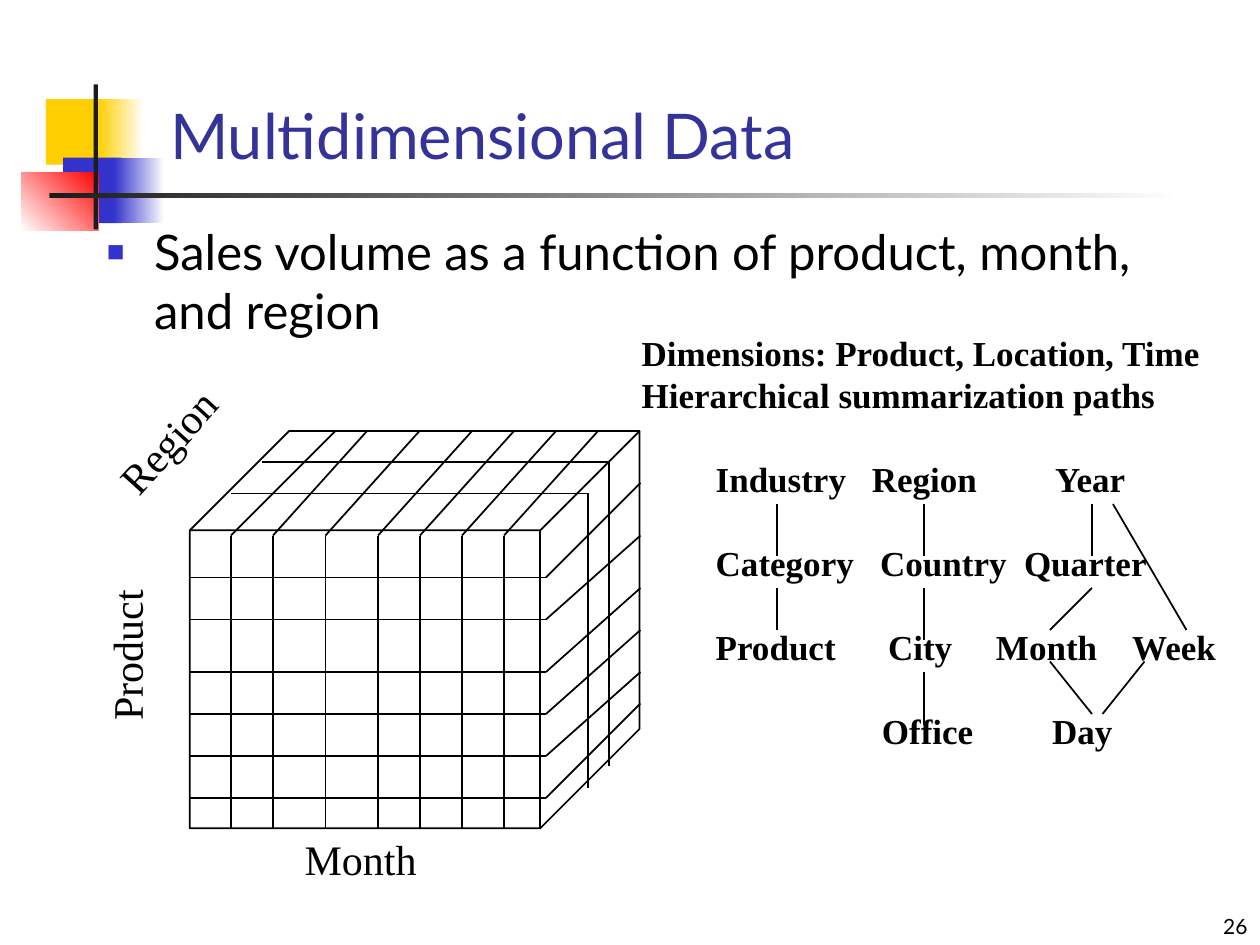
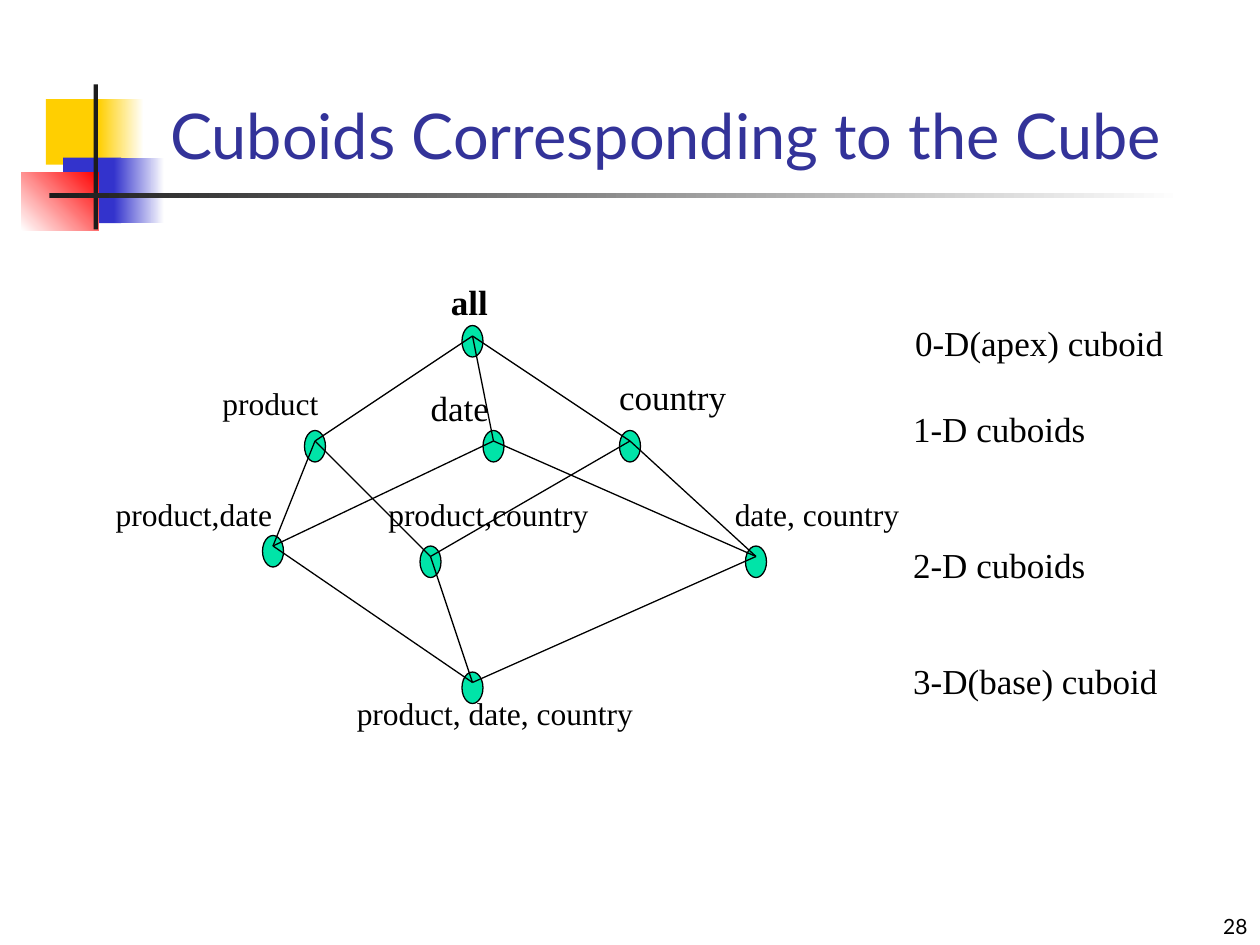
"""Build two slides on multidimensional data and its cuboids."""
import dataclasses
import itertools
import typing

import lxml.etree
import pptx
import pptx.dml.color
import pptx.enum.shapes
import pptx.enum.text
import pptx.oxml.ns
import pptx.util

Pt = pptx.util.Pt
Shapes = pptx.enum.shapes.MSO_SHAPE
Align = pptx.enum.text.PP_ALIGN
Anchor = pptx.enum.text.MSO_ANCHOR
AutoSize = pptx.enum.text.MSO_AUTO_SIZE

SANS, SERIF = "Lato", "Times New Roman"
BLACK, WHITE, CHARCOAL = "000000", "FFFFFF", "1C1C1C"
YELLOW, BLUE, RED = "FFCF01", "3333CC", "FF0000"
TITLE_BLUE, NODE_GREEN = "333399", "00E4A8"


@dataclasses.dataclass(frozen=True)
class Band:
    """A rectangle of the title ornament, plain or fading to a second colour."""
    left: float
    top: float
    width: float
    height: float
    start: str
    end: typing.Optional[str] = None
    angle: float = 0


@dataclasses.dataclass(frozen=True)
class Label:
    """A text box with one style; each line is a paragraph."""
    lines: tuple[str, ...]
    left: float
    top: float
    width: float
    height: float
    size: float = 20
    bold: bool = False
    font: str = SERIF
    rotation: float = 0
    wrap: bool = False
    align: Align = Align.LEFT
    anchor: Anchor = Anchor.TOP
    grow: bool = True


@dataclasses.dataclass(frozen=True)
class Level:
    """One row of the hierarchy with the tab stops of its later words."""
    words: tuple[str, ...]
    stops: tuple[float, ...]


@dataclasses.dataclass(frozen=True)
class Cuboid:
    """A lattice node, its dimensions and its label."""
    dimensions: frozenset[str]
    left: float
    top: float
    label: Label


BANDS = (
    Band(26.2, 56.6, 34.5, 37.5, YELLOW),
    Band(56.2, 56.6, 26, 37.5, YELLOW, WHITE),
    Band(36, 90, 33.2, 37.5, BLUE),
    Band(65, 90, 29, 37.5, BLUE, WHITE),
    Band(12.2, 98.5, 44.2, 33.2, WHITE, RED, 45),
    Band(53.5, 48.2, 2.4, 83, CHARCOAL),
    Band(28.3, 110.2, 648, 2.8, CHARCOAL, WHITE),
)

CUBE_ROWS = ((330, 276), (354, 306), (384, 336), (408, 360), (432, 384), (456, 402))
CUBE_COLUMNS = ((132, 192), (156, 210), (186, 240), (216, 270),
                (240, 294), (264, 318), (288, 342))
CUBE_LAYERS = ((150, 348, 264, 438), (132, 336, 282, 450))

CUBE_LABELS = (
    Label(("Product",), 27.4, 356.2, 89.3, 36, 24, rotation=270),
    Label(("Region",), 54.2, 234, 83.5, 36, 24, rotation=312, wrap=True),
    Label(("Month",), 167, 473, 78.5, 36, 24),
    Label(("Dimensions: Product, Location, Time", "Hierarchical summarization paths"),
          359.6, 185.8, 336, 55.4, bold=True),
)
HIERARCHY = (
    Level(("Industry", "Region", "Year"), (89.2, 194)),
    Level(("Category", "Country", "Quarter"), (94, 176.2)),
    Level(("Product", "City", "Month", "Week"), (98.5, 160.2, 238)),
    Level(("", "Office", "Day"), (95, 192.2)),
)
HIERARCHY_LINKS = (
    (444, 288, 444, 318), (528, 288, 528, 318), (624, 288, 624, 318),
    (444, 336, 444, 360), (528, 336, 528, 366), (528, 384, 528, 414),
    (624, 336, 600, 360), (636, 288, 678, 360),
    (600, 378, 624, 408), (654, 378, 630, 408),
)

CUBOIDS = (
    Cuboid(frozenset(), 264, 186, Label(("all",), 250.6, 157, 38, 31.7, bold=True)),
    Cuboid(frozenset({"product"}), 174, 246, Label(("product",), 120, 216, 72, 29, 18)),
    Cuboid(frozenset({"date"}), 276, 246, Label(("date",), 239, 217.5, 50, 31.7)),
    Cuboid(frozenset({"country"}), 354, 246, Label(("country",), 346.7, 211, 78, 31.7)),
    Cuboid(frozenset({"product", "date"}), 150, 306,
           Label(("product,date",), 59, 279.4, 106, 29, 18)),
    Cuboid(frozenset({"product", "country"}), 240, 312,
           Label(("product,country",), 214.8, 279.4, 131, 29, 18)),
    Cuboid(frozenset({"date", "country"}), 426, 312,
           Label(("date, country",), 412.8, 279.4, 111, 29, 18)),
    Cuboid(frozenset({"product", "date", "country"}), 264, 384,
           Label(("product, date, country",), 196.8, 393, 175, 29, 18)),
)
RANK_LABELS = (
    Label(("0-D(apex) cuboid",), 515.8, 180, 159, 31.7),
    Label(("1-D cuboids",), 514.7, 229.3, 116, 31.7),
    Label(("2-D cuboids",), 514.7, 307, 116, 31.7),
    Label(("3-D(base) cuboid",), 514.7, 373.3, 157, 31.7),
)


def color(value: str) -> pptx.dml.color.RGBColor:
    """Turn a hex string into a colour."""
    return pptx.dml.color.RGBColor.from_string(value)


def style(para, font: str, size: float, ink: str, bold: bool = False) -> None:
    """Set the font of a paragraph."""
    para.font.name, para.font.size, para.font.bold = font, Pt(size), bold
    para.font.color.rgb = color(ink)


def add_box(page, label: Label):
    """Draw a text box and return it."""
    box = page.shapes.add_textbox(
        Pt(label.left), Pt(label.top), Pt(label.width), Pt(label.height))
    box.rotation = label.rotation
    frame = box.text_frame
    frame.word_wrap = label.wrap
    frame.auto_size = AutoSize.SHAPE_TO_FIT_TEXT if label.grow else AutoSize.NONE
    frame.vertical_anchor = label.anchor
    frame.text = "\n".join(label.lines)
    for para in frame.paragraphs:
        para.alignment = label.align
        style(para, label.font, label.size, BLACK, label.bold)
    return box


def add_line(page, x1: float, y1: float, x2: float, y2: float, width: float = 1) -> None:
    """Draw a straight black line without a shadow."""
    line = page.shapes.add_connector(
        pptx.enum.shapes.MSO_CONNECTOR.STRAIGHT, Pt(x1), Pt(y1), Pt(x2), Pt(y2))
    line.line.color.rgb = color(BLACK)
    line.line.width = Pt(width)
    lxml.etree.SubElement(line._element.spPr, pptx.oxml.ns.qn("a:effectLst"))


def add_shape(page, kind: Shapes, left: float, top: float, width: float, height: float):
    """Draw a preset shape without a shadow and return it."""
    shape = page.shapes.add_shape(kind, Pt(left), Pt(top), Pt(width), Pt(height))
    shape.shadow.inherit = False
    return shape


def add_band(page, band: Band) -> None:
    """Draw one rectangle of the title ornament."""
    shape = add_shape(page, Shapes.RECTANGLE, band.left, band.top, band.width, band.height)
    shape.line.fill.background()
    if band.end is None:
        shape.fill.solid()
        shape.fill.fore_color.rgb = color(band.start)
        return
    shape.fill.gradient()
    shape.fill.gradient_angle = band.angle
    for stop, value, position in zip(shape.fill.gradient_stops, (band.start, band.end), (0, 1)):
        stop.color.rgb = color(value)
        stop.position = position


def add_page(deck, title: str, number: str):
    """Add a slide with the ornament, the title and the page number."""
    page = deck.slides.add_slide(deck.slide_layouts[5])
    for band in BANDS:
        add_band(page, band)
    heading = page.shapes.title
    heading.left, heading.top, heading.width, heading.height = (
        Pt(90), Pt(54), Pt(613.4), Pt(48))
    frame = heading.text_frame
    frame.text = title
    frame.word_wrap = True
    frame.auto_size = AutoSize.NONE
    frame.vertical_anchor = Anchor.BOTTOM
    para = frame.paragraphs[0]
    para.alignment = Align.LEFT
    style(para, SANS, 36, TITLE_BLUE)
    add_box(page, Label((number,), 570, 504, 150, 36, 12, font=SANS, wrap=True,
                        align=Align.RIGHT, anchor=Anchor.BOTTOM, grow=False))
    return page


def add_bullet(page, text: str) -> None:
    """Draw the body text with a square bullet."""
    box = add_box(page, Label((text,), 54, 123, 630, 360, 28, font=SANS,
                              wrap=True, grow=False))
    para = box.text_frame.paragraphs[0]
    para.space_before = Pt(7)
    properties = para._p.get_or_add_pPr()
    properties.set("marL", str(Pt(27)))
    properties.set("indent", str(Pt(-27)))
    markup = (f'<a:list {pptx.oxml.ns.nsdecls("a")}>'
              f'<a:buClr><a:srgbClr val="{BLUE}"/></a:buClr>'
              '<a:buSzPct val="60000"/><a:buFont typeface="Arial"/>'
              '<a:buChar char="■"/></a:list>')
    position = 1 + properties.index(properties.find(pptx.oxml.ns.qn("a:spcBef")))
    properties[position:position] = list(pptx.oxml.parse_xml(markup))


def add_cube(page) -> None:
    """Draw the data cube and its grid lines."""
    cube = add_shape(page, Shapes.CUBE, 108.5, 246.3, 257, 227)
    cube.adjustments[0] = 0.25
    cube.fill.background()
    cube.line.color.rgb = color(BLACK)
    cube.line.width = Pt(1)
    for front, back in CUBE_ROWS:
        add_line(page, 108, front, 312, front)
        add_line(page, 312, front, 366, back)
    for front, back in CUBE_COLUMNS:
        add_line(page, front, 306, front, 474)
        add_line(page, front, 306, back, 246)
    for left, right, top, bottom in CUBE_LAYERS:
        add_line(page, left, top, right, top)
        add_line(page, right, top, right, bottom)


def add_hierarchy(page) -> None:
    """Draw the summarization paths, aligned with tab stops."""
    rows = tuple("\t".join(level.words) for level in HIERARCHY)
    box = add_box(page, Label(rows, 401.9, 257.8, 302.4, 175.7, bold=True, wrap=True))
    for index, (level, para) in enumerate(zip(HIERARCHY, box.text_frame.paragraphs)):
        para.space_before = Pt(24 if index else 0)
        properties = para._p.get_or_add_pPr()
        tabs = lxml.etree.SubElement(properties, pptx.oxml.ns.qn("a:tabLst"))
        for stop in level.stops:
            lxml.etree.SubElement(tabs, pptx.oxml.ns.qn("a:tab"), pos=str(Pt(stop)), algn="l")
        properties.find(pptx.oxml.ns.qn("a:defRPr")).addprevious(tabs)
    for link in HIERARCHY_LINKS:
        add_line(page, *link)


def add_lattice(page) -> None:
    """Draw the cuboids and link each to those with one more dimension."""
    for cuboid in CUBOIDS:
        node = add_shape(page, Shapes.FLOWCHART_CONNECTOR, cuboid.left, cuboid.top, 12, 18)
        node.fill.solid()
        node.fill.fore_color.rgb = color(NODE_GREEN)
        node.line.color.rgb = color(BLACK)
        node.line.width = Pt(0.75)
    for upper, lower in itertools.combinations(CUBOIDS, 2):
        added = lower.dimensions - upper.dimensions
        if upper.dimensions < lower.dimensions and len(added) == 1:
            add_line(page, upper.left + 6, upper.top + 6, lower.left + 6, lower.top + 6, 0.75)
    for label in (*(cuboid.label for cuboid in CUBOIDS), *RANK_LABELS):
        add_box(page, label)


def main() -> None:
    """Build and save the deck."""
    deck = pptx.Presentation()
    deck.slide_width, deck.slide_height = Pt(720), Pt(540)
    page = add_page(deck, "Multidimensional Data", "26")
    add_bullet(page, "Sales volume as a function of product, month, and region")
    add_cube(page)
    for label in CUBE_LABELS:
        add_box(page, label)
    add_hierarchy(page)
    add_lattice(add_page(deck, "Cuboids Corresponding to the Cube", "28"))
    deck.save("out.pptx")


if __name__ == "__main__":
    main()
